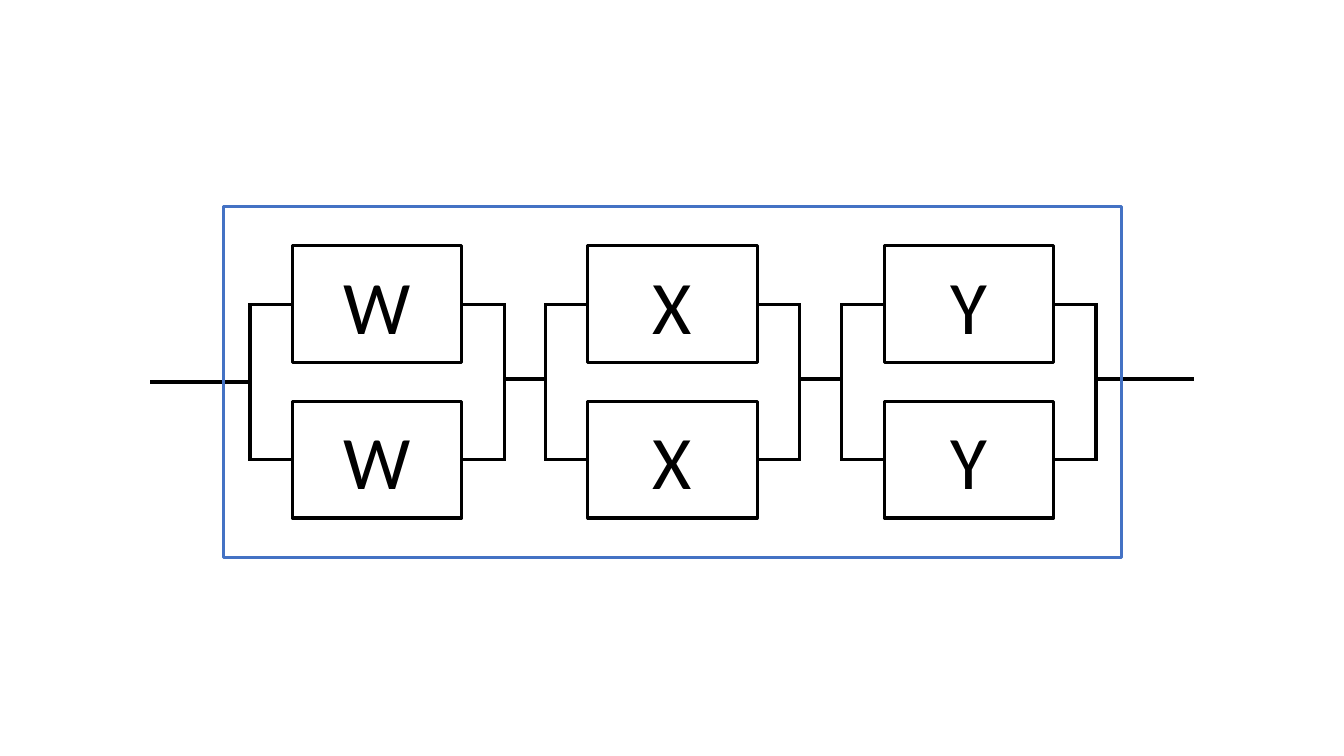
from dataclasses import dataclass

from lxml.etree import SubElement
from pptx import Presentation
from pptx.dml.color import RGBColor
from pptx.enum.shapes import MSO_CONNECTOR, MSO_SHAPE
from pptx.enum.text import MSO_ANCHOR, PP_ALIGN
from pptx.oxml.ns import qn
from pptx.util import Pt

PX = 9144


@dataclass(frozen=True)
class Theme:
    """Colours, font and sizes of the slide."""
    ink: RGBColor = RGBColor(0x00, 0x00, 0x00)
    frame: RGBColor = RGBColor(0x44, 0x72, 0xC4)
    font: str = "Calibri"
    letter: Pt = Pt(54)
    line: Pt = Pt(2.25)


THEME = Theme()


def add_wire(s, x1, y1, x2, y2):
    """Draw a straight wire between two points."""
    c = s.shapes.add_connector(MSO_CONNECTOR.STRAIGHT, x1 * PX, y1 * PX, x2 * PX, y2 * PX)
    c.line.color.rgb = THEME.ink
    c.line.width = THEME.line
    SubElement(c._element.spPr, qn("a:effectLst"))
    return c


def add_outline(s, x, y, w, h, color):
    """Draw an unfilled rectangle."""
    sp = s.shapes.add_shape(MSO_SHAPE.RECTANGLE, x * PX, y * PX, w * PX, h * PX)
    sp.shadow.inherit = False
    sp.fill.background()
    sp.line.color.rgb = color
    sp.line.width = THEME.line
    return sp


def add_block(s, x, y, w, h, letter):
    """Draw a component box with its letter."""
    sp = add_outline(s, x, y, w, h, THEME.ink)
    tf = sp.text_frame
    tf.vertical_anchor = MSO_ANCHOR.MIDDLE
    tf.margin_top = tf.margin_bottom = 0
    p = tf.paragraphs[0]
    p.text = letter
    p.alignment = PP_ALIGN.CENTER
    p.font.name = THEME.font
    p.font.size = THEME.letter
    p.font.color.rgb = THEME.ink
    return sp


def add_parallel_pair(s, x, y, w, h, letter):
    """Draw two equal blocks in parallel between two vertical buses."""
    stub, block_h = 42, 116
    left, right = x + stub, x + w - stub
    for top in (y, y + h - block_h):
        mid = top + block_h // 2
        block = add_block(s, left, top, right - left, block_h, letter)
        add_wire(s, x, mid, left, mid).end_connect(block, 1)
        add_wire(s, right, mid, x + w, mid).begin_connect(block, 3)
    for bus in (x, x + w):
        add_wire(s, bus, y + block_h // 2 - 1, bus, y + h - block_h // 2 + 1)


def add_diagram(s, x, y, w, h):
    """Draw the series of parallel pairs, its wires and its frame."""
    pair_w, link_y = 252, y + 171
    lefts = [x + 26 + i * 587 // 2 for i in range(3)]
    for left, letter in zip(lefts, "WXY"):
        add_parallel_pair(s, left, y + 39, pair_w, h - 78, letter)
    add_wire(s, x - 73, y + 174, lefts[0], y + 174)
    for left, end in zip(lefts, lefts[1:] + [x + w + 72]):
        add_wire(s, left + pair_w, link_y, end, link_y)
    add_outline(s, x, y, w, h, THEME.frame)


def main():
    """Build and save the slide."""
    prs = Presentation()
    prs.slide_width, prs.slide_height = 1333 * PX, 750 * PX
    s = prs.slides.add_slide(prs.slide_layouts[6])
    add_diagram(s, 222, 205, 890, 348)
    prs.save("out.pptx")


if __name__ == "__main__":
    main()
